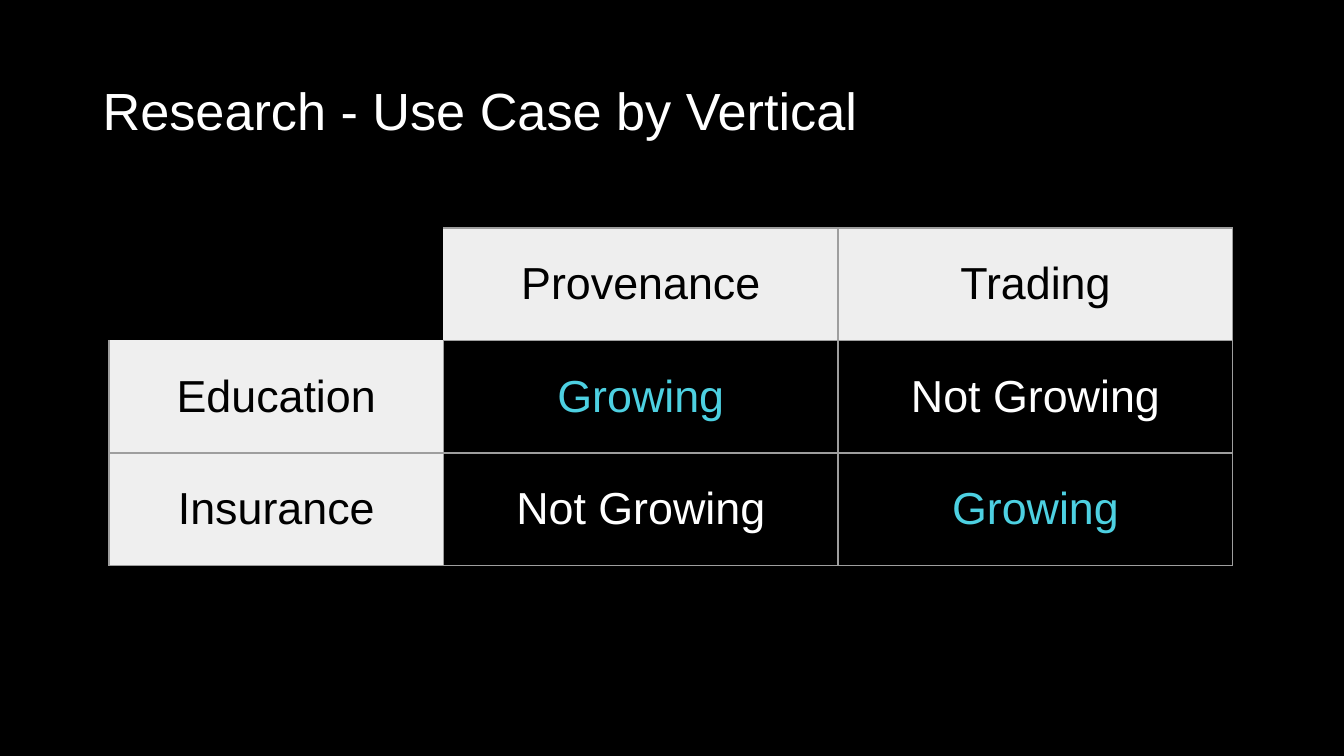
from lxml import etree
from pptx import Presentation
from pptx.dml.color import RGBColor
from pptx.enum.text import MSO_ANCHOR, MSO_AUTO_SIZE, PP_ALIGN
from pptx.oxml.ns import qn
from pptx.util import Cm, Pt

MIDDLE = MSO_ANCHOR.MIDDLE
NO_FIT = MSO_AUTO_SIZE.NONE
LEFT, CENTER = PP_ALIGN.LEFT, PP_ALIGN.CENTER

FONT = "Arial"
PLAIN_STYLE = "{2D5ABB26-0587-4C30-8999-92F81FD0307C}"
COLORS = {
    "background": "000000",
    "text": "FFFFFF",
    "header_text": "000000",
    "growing": "4DD0E1",
    "column_header": "EEEEEE",
    "row_header": "EFEFEF",
    "border": "9E9E9E",
}
ROWS = [
    ["", "Provenance", "Trading"],
    ["Education", "Growing", "Not Growing"],
    ["Insurance", "Not Growing", "Growing"],
]


def rgb(name):
    return RGBColor.from_string(COLORS[name])


def format_text(tf, size, color, align):
    p = tf.paragraphs[0]
    p.alignment = align
    for r in p.runs:
        r.font.name = FONT
        r.font.size = Pt(size)
        r.font.color.rgb = rgb(color)


def set_borders(cell, sides):
    tcPr = cell._tc.get_or_add_tcPr()
    for side in "LRTB":
        ln = etree.SubElement(tcPr, qn(f"a:ln{side}"), w=str(Pt(0.75)))
        if side in sides:
            fill = etree.SubElement(ln, qn("a:solidFill"))
            etree.SubElement(fill, qn("a:srgbClr"), val=COLORS["border"])
        else:
            etree.SubElement(ln, qn("a:noFill"))


def cell_borders(row, col):
    return {(0, 0): "", (0, 1): "RTB", (1, 0): "LRB"}.get((row, col), "LRTB")


def cell_look(row, col, text):
    if row == 0 and col == 0:
        return None, "text"
    if row == 0:
        return "column_header", "header_text"
    if col == 0:
        return "row_header", "header_text"
    return None, "growing" if text == "Growing" else "text"


def add_title(s, text, left, top, width, height):
    sp = s.shapes.title
    sp.left, sp.top, sp.width, sp.height = left, top, width, height
    tf = sp.text_frame
    tf.text = text
    tf.word_wrap = True
    tf.auto_size = NO_FIT
    tf.vertical_anchor = MIDDLE
    tf.margin_left = tf.margin_right = Cm(0.19)
    tf.margin_top = tf.margin_bottom = Cm(0.1)
    tf.paragraphs[0].line_spacing = 0.9
    format_text(tf, 28, "text", LEFT)


def add_matrix(s, rows, left, top, width, height, label_width):
    n_cols = len(rows[0])
    table = s.shapes.add_table(len(rows), n_cols, left, top, width, height).table
    table.first_row = table.horz_banding = False
    table._tbl.tblPr.find(qn("a:tableStyleId")).text = PLAIN_STYLE
    for i, column in enumerate(table.columns):
        column.width = label_width if i == 0 else (width - label_width) // (n_cols - 1)
    for i, texts in enumerate(rows):
        for j, text in enumerate(texts):
            cell = table.cell(i, j)
            fill, color = cell_look(i, j, text)
            set_borders(cell, cell_borders(i, j))
            if fill:
                cell.fill.solid()
                cell.fill.fore_color.rgb = rgb(fill)
            else:
                cell.fill.background()
            cell.vertical_anchor = MIDDLE
            cell.margin_left = cell.margin_right = Cm(0.25)
            cell.margin_top = cell.margin_bottom = Cm(0.25)
            cell.text_frame.text = text
            format_text(cell.text_frame, 24, color, CENTER)


def main():
    prs = Presentation()
    prs.slide_width, prs.slide_height = Cm(25.4), Cm(14.29)
    s = prs.slides.add_slide(prs.slide_layouts[5])
    s.background.fill.solid()
    s.background.fill.fore_color.rgb = rgb("background")
    add_title(s, "Research - Use Case by Vertical",
              Cm(1.75), Cm(0.76), Cm(21.9), Cm(2.77))
    add_matrix(s, ROWS, Cm(2.06), Cm(4.31), Cm(21.24), Cm(6.38), Cm(6.32))
    prs.save("out.pptx")


if __name__ == "__main__":
    main()
